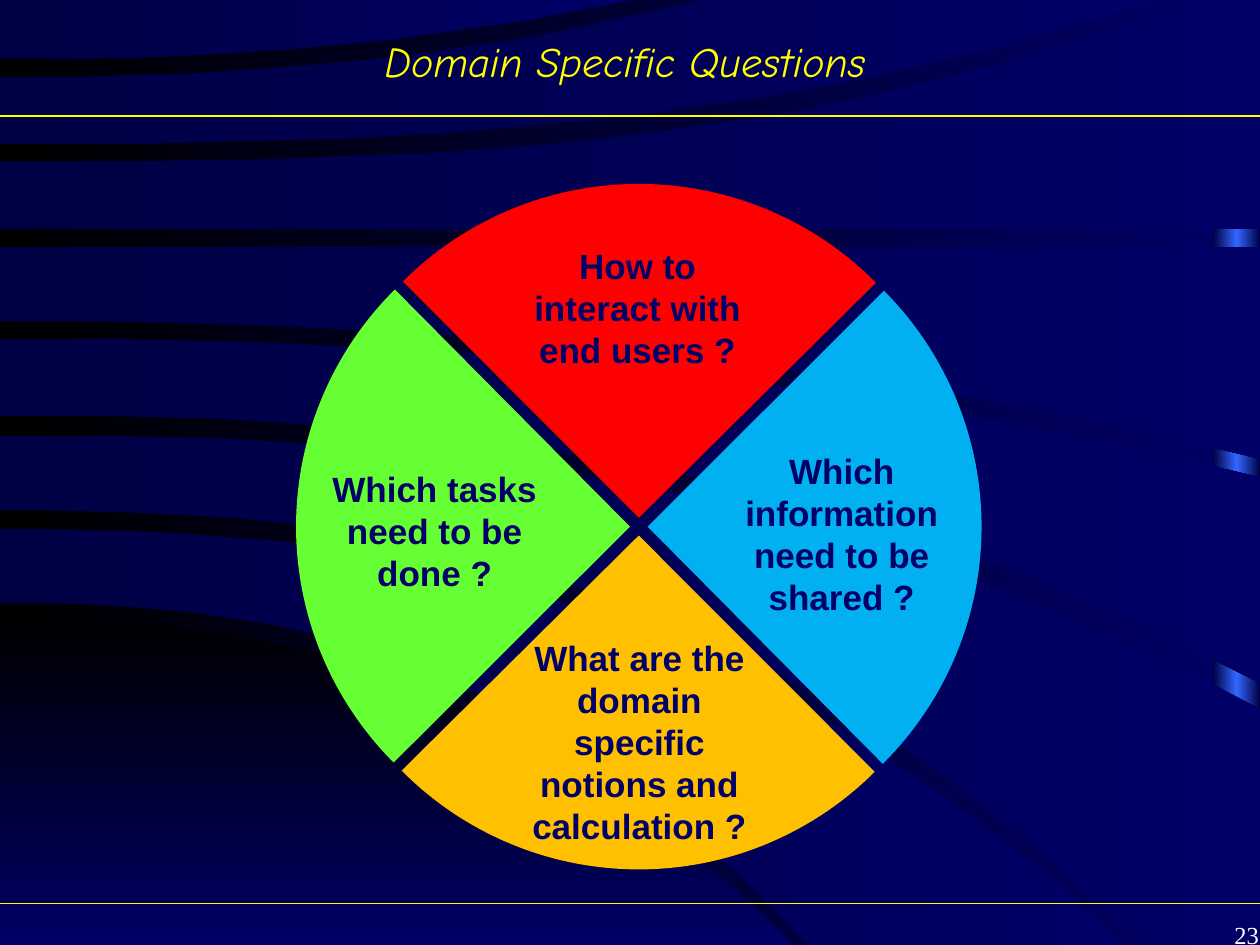
from copy import deepcopy

from lxml import etree
from pptx import Presentation
from pptx.dml.color import RGBColor
from pptx.enum.shapes import MSO_CONNECTOR, MSO_SHAPE
from pptx.enum.text import MSO_ANCHOR, PP_ALIGN
from pptx.oxml.ns import qn
from pptx.util import Inches, Pt

CENTER, RIGHT = PP_ALIGN.CENTER, PP_ALIGN.RIGHT
TOP = MSO_ANCHOR.TOP
BLACK, NAVY, DARK_NAVY = "000000", "000066", "000044"
BLUE, YELLOW, WHITE = "3366FF", "FFFF00", "FFFFFF"

TITLE = "Domain Specific Questions"
PAGE_NUMBER = "23"

# question, wedge colour, wedge rotation, wedge direction, text box
QUESTIONS = [
    ("How to interact with end users ?", "FF0000", 90, (0, -1), (3.98, 1.89, 2.16, 1.11)),
    ("Which information need to be shared ?", "00B0F0", 180, (1, 0), (5.72, 3.52, 1.92, 1.45)),
    ("Which tasks need to be done ?", "66FF33", 0, (-1, 0), (2.47, 3.66, 1.96, 1.11)),
    ("What are the domain specific notions and calculation ?", "FFC000", 270, (0, 1),
     (4.1, 5, 1.95, 1.78)),
]
WHEEL_CENTER = (5.07, 4.18)
WHEEL_SIZE = 5.3
WEDGE_GAP = 0.07
WEDGE_ANGLES = (81.024, 135.15)

RULES_Y = (7.17, 0.92)
EDGE_STRIP = (9.63, 0, 0.37, 7.5)

# Each edge runs from the left side: start y, end x, end y, power of the curve
CORNER_GLOW = ((4.91, 6.29, 7.5, 2.45), (7.5, 6.29, 7.5, 1))
SWEEPS = [  # upper edge, lower edge
    ((4.2, 8.93, 7.5, 2.5), (4.79, 6.42, 7.5, 2.55)),
    ((3.46, 10, 5.63, 2.5), (4.05, 9.09, 7.5, 2.55)),
    ((2.69, 10, 3.79, 2.25), (3.3, 10, 5.42, 2.5)),
    ((1.96, 10, 1.96, 1), (2.55, 10, 3.64, 2.25)),
    ((1.28, 9.43, 0, 2.9), (1.82, 10, 1.82, 1)),
    ((0.61, 5.56, 0, 2.35), (1.14, 9.17, 0, 2.7)),
    ((0, 5.01, 0, 1), (0.47, 5.01, 0, 2.25)),
]
CURVE_STEPS = 24


def rgb(color):
    return RGBColor.from_string(color)


def set_gradient(fill, colors, angle=0):
    fill.gradient()
    fill.gradient_angle = angle
    for stop, color, position in zip(fill.gradient_stops, colors, (0, 1)):
        stop.color.rgb = rgb(color)
        stop.position = position


def edge_points(start_y, end_x, end_y, power):
    steps = [i / CURVE_STEPS for i in range(CURVE_STEPS + 1)]
    return [(end_x * t, start_y + (end_y - start_y) * t ** power) for t in steps]


def add_sweep(shapes, upper, lower, colors, angle=0):
    """Add the area between two curved edges, squared off at a slide corner."""
    (_, upper_x, upper_y, _), (_, lower_x, lower_y, _) = upper, lower
    corner = (max(upper_x, lower_x), upper_y if upper_x < lower_x else lower_y)
    points = edge_points(*upper) + [corner] + edge_points(*lower)[::-1]
    points = [(x * 100, y * 100) for x, y in points]
    builder = shapes.build_freeform(*points[0], scale=Inches(0.01))
    builder.add_line_segments(points[1:], close=True)
    sweep = builder.convert_to_shape()
    set_gradient(sweep.fill, colors, angle)
    sweep.line.fill.background()
    sweep.shadow.inherit = False


def add_edge_strip(shapes):
    """Add the strip whose gradient peaks in blue halfway across."""
    strip = shapes.add_shape(MSO_SHAPE.RECTANGLE, *map(Inches, EDGE_STRIP))
    set_gradient(strip.fill, (DARK_NAVY, BLUE))
    first, middle = strip._element.findall(".//" + qn("a:gs"))
    middle.set("pos", "50000")
    last = deepcopy(first)
    last.set("pos", "100000")
    middle.addnext(last)
    strip.line.fill.background()
    strip.shadow.inherit = False


def add_rule(shapes, y):
    rule = shapes.add_connector(MSO_CONNECTOR.STRAIGHT, 0, Inches(y), Inches(10.08), Inches(y))
    rule.line.color.rgb = rgb(YELLOW)
    rule.line.width = Pt(0.75)
    etree.SubElement(rule._element.spPr, qn("a:effectLst"))


def add_wedge(shapes, color, rotation, direction):
    left, top = (c + WEDGE_GAP * d - WHEEL_SIZE / 2 for c, d in zip(WHEEL_CENTER, direction))
    wedge = shapes.add_shape(MSO_SHAPE.PIE, Inches(left), Inches(top),
                             Inches(WHEEL_SIZE), Inches(WHEEL_SIZE))
    wedge.adjustments[0], wedge.adjustments[1] = WEDGE_ANGLES
    wedge.rotation = rotation
    wedge.fill.solid()
    wedge.fill.fore_color.rgb = rgb(color)
    wedge.line.fill.background()
    wedge.shadow.inherit = False


def write(shape, text, font_name, size, color, align=CENTER, bold=False, italic=False):
    frame = shape.text_frame
    frame.word_wrap = True
    frame.vertical_anchor = TOP
    frame.text = text
    paragraph = frame.paragraphs[0]
    paragraph.alignment = align
    font = paragraph.font
    font.name, font.size, font.bold, font.italic = font_name, Pt(size), bold, italic
    font.color.rgb = rgb(color)


def main():
    prs = Presentation()
    prs.slide_width, prs.slide_height = Inches(10), Inches(7.5)
    slide = prs.slides.add_slide(prs.slide_layouts[5])
    shapes = slide.shapes

    set_gradient(slide.background.fill, (BLACK, NAVY))
    add_sweep(shapes, *CORNER_GLOW, (BLACK, NAVY), angle=270)
    add_edge_strip(shapes)
    for upper, lower in SWEEPS:
        add_sweep(shapes, upper, lower, (DARK_NAVY, NAVY))
    for y in RULES_Y:
        add_rule(shapes, y)

    page = shapes.add_textbox(*map(Inches, (9.3, 7.25, 0.79, 0.33)))
    write(page, PAGE_NUMBER, "Times New Roman", 14, WHITE, align=RIGHT)

    for question, color, rotation, direction, box in QUESTIONS:
        add_wedge(shapes, color, rotation, direction)
        write(shapes.add_textbox(*map(Inches, box)), question, "Arial", 20, NAVY, bold=True)

    title = shapes.title
    title.left, title.top, title.width, title.height = map(Inches, (0, 0.23, 9.92, 0.72))
    write(title, TITLE, "Comic Neue", 24, YELLOW, italic=True)
    shapes._spTree.append(title._element)  # bring the title to the front

    prs.save("out.pptx")


if __name__ == "__main__":
    main()
